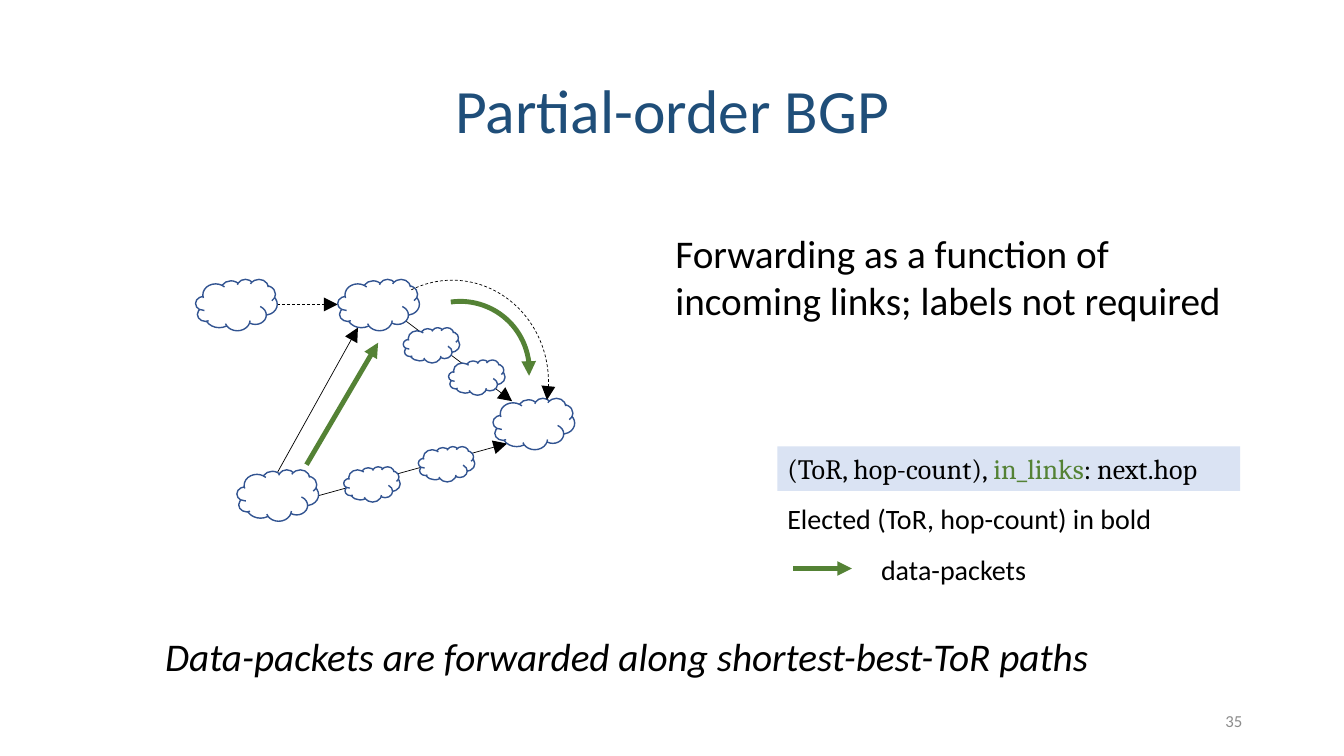
from lxml.etree import SubElement
from pptx import Presentation
from pptx.dml.color import RGBColor
from pptx.enum.dml import MSO_LINE
from pptx.enum.shapes import MSO_CONNECTOR, MSO_SHAPE as SHAPE
from pptx.enum.text import MSO_ANCHOR as ANCHOR, PP_ALIGN as ALIGN
from pptx.oxml.ns import qn
from pptx.util import Inches, Pt

BLACK = RGBColor(0x00, 0x00, 0x00)
WHITE = RGBColor(0xFF, 0xFF, 0xFF)
TITLE_BLUE = RGBColor(0x1F, 0x4E, 0x79)
CLOUD_BLUE = RGBColor(0x32, 0x54, 0x91)
LABEL_BLUE = RGBColor(0xDA, 0xE3, 0xF3)
PACKET_GREEN = RGBColor(0x54, 0x82, 0x35)
GRAY = RGBColor(0x8C, 0x8C, 0x8C)

prs = Presentation()
prs.slide_width, prs.slide_height = Inches(13.33), Inches(7.5)
slide = prs.slides.add_slide(prs.slide_layouts[6])
shapes = slide.shapes


def add_text(box, *parts, size=20, font="Calibri", color=BLACK, italic=False,
             align=ALIGN.LEFT, anchor=ANCHOR.TOP, spacing=1.0, wrap=True, fill=None):
    """Add a text box; each part is a string or a (string, colour) pair."""
    area = shapes.add_textbox(*map(Inches, box))
    if fill is not None:
        area.fill.solid()
        area.fill.fore_color.rgb = fill
    frame = area.text_frame
    frame.word_wrap = wrap
    frame.vertical_anchor = anchor
    paragraph = frame.paragraphs[0]
    paragraph.alignment = align
    paragraph.line_spacing = spacing
    for part in parts:
        words, tint = (part, color) if isinstance(part, str) else part
        run = paragraph.add_run()
        run.text = words
        run.font.name = font
        run.font.size = Pt(size)
        run.font.italic = italic
        run.font.color.rgb = tint


def add_arrow(start=None, end=None, arc=None, angles=None, rotation=0,
              color=BLACK, width=0.5, head="lg", dashed=False):
    """Draw a straight arrow, or a curved one if arc gives the box of its ellipse."""
    if arc:
        arrow = shapes.add_shape(SHAPE.ARC, *map(Inches, arc))
        # Angles are stored in 1/60000 degree; adjustments are scaled by 100000.
        for i, angle in enumerate(angles):
            arrow.adjustments[i] = angle * 0.6
        arrow.rotation = rotation
        arrow.fill.background()
        arrow.shadow.inherit = False
    else:
        arrow = shapes.add_connector(MSO_CONNECTOR.STRAIGHT, *map(Inches, (*start, *end)))
        SubElement(arrow.line._get_or_add_ln().getparent(), qn("a:effectLst"))
    arrow.line.color.rgb = color
    arrow.line.width = Pt(width)
    if dashed:
        arrow.line.dash_style = MSO_LINE.DASH
    SubElement(arrow.line._get_or_add_ln(), qn("a:tailEnd"), type="triangle", w=head, len=head)


add_text((0.92, 0.4, 11.5, 1.45), "Partial-order BGP", size=44, color=TITLE_BLUE,
         align=ALIGN.CENTER, anchor=ANCHOR.MIDDLE, spacing=0.9)
add_text((9.42, 6.95, 3, 0.4), "35", size=12, color=GRAY,
         align=ALIGN.RIGHT, anchor=ANCHOR.MIDDLE)

# Links, then the networks that lie on top of them
add_arrow((4.02, 3.18), (5.08, 3.98))
add_arrow((2.75, 4.69), (3.55, 3.25))
add_arrow((3.15, 4.92), (5.03, 4.4))
add_arrow((2.75, 3.02), (3.35, 3.02), dashed=True)

LARGE, SMALL = (0.81, 0.51), (0.56, 0.35)
networks = {
    LARGE: [(1.94, 2.77), (3.35, 2.77), (2.35, 4.66), (4.89, 3.95)],
    SMALL: [(3.41, 4.63), (4.15, 4.43), (4, 3.25), (4.45, 3.57)],
}
for cloud_size, corners in networks.items():
    for corner in corners:
        cloud = shapes.add_shape(SHAPE.CLOUD, *map(Inches, (*corner, *cloud_size)))
        cloud.shadow.inherit = False
        cloud.fill.solid()
        cloud.fill.fore_color.rgb = WHITE
        cloud.line.color.rgb = CLOUD_BLUE
        cloud.line.width = Pt(1)

add_arrow(arc=(3.53, 2.78, 1.91, 2.02), angles=(246.13, 10.75), dashed=True)

# Data-packet flow, with its sample in the legend
packets = dict(color=PACKET_GREEN, width=3.5, head="med")
add_arrow((3.04, 4.61), (3.75, 3.4), **packets)
add_arrow(arc=(3.88, 2.99, 1.37, 1.37), angles=(272.15, 14.49), rotation=350, **packets)
add_arrow((7.87, 5.64), (8.45, 5.64), **packets)

add_text((7.71, 4.43, 4.59, 0.44), "(ToR, hop-count), ", ("in_links", PACKET_GREEN),
         ": next.hop", font="Cambria", fill=LABEL_BLUE)
add_text((7.71, 4.93, 3.85, 0.44), "Elected (ToR, hop-count) in bold", wrap=False)
add_text((8.64, 5.43, 1.66, 0.44), "data-packets", wrap=False)

add_text((6.6, 2.23, 5.81, 1.04),
         "Forwarding as a function of incoming links; labels not required", size=28)
add_text((1.54, 6.22, 10.5, 0.57),
         "Data-packets are forwarded along shortest-best-ToR paths", size=28, italic=True)

prs.save("out.pptx")
